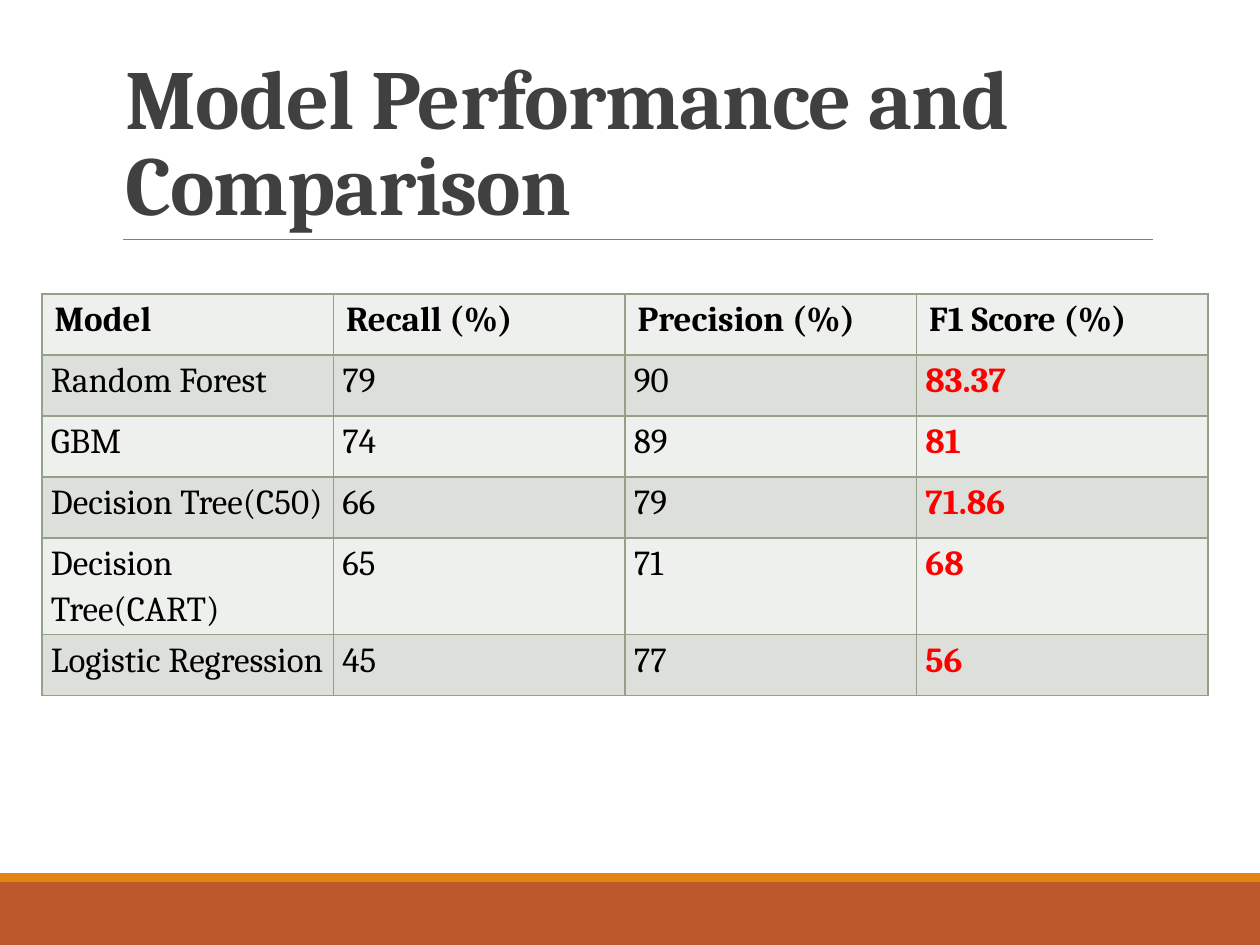
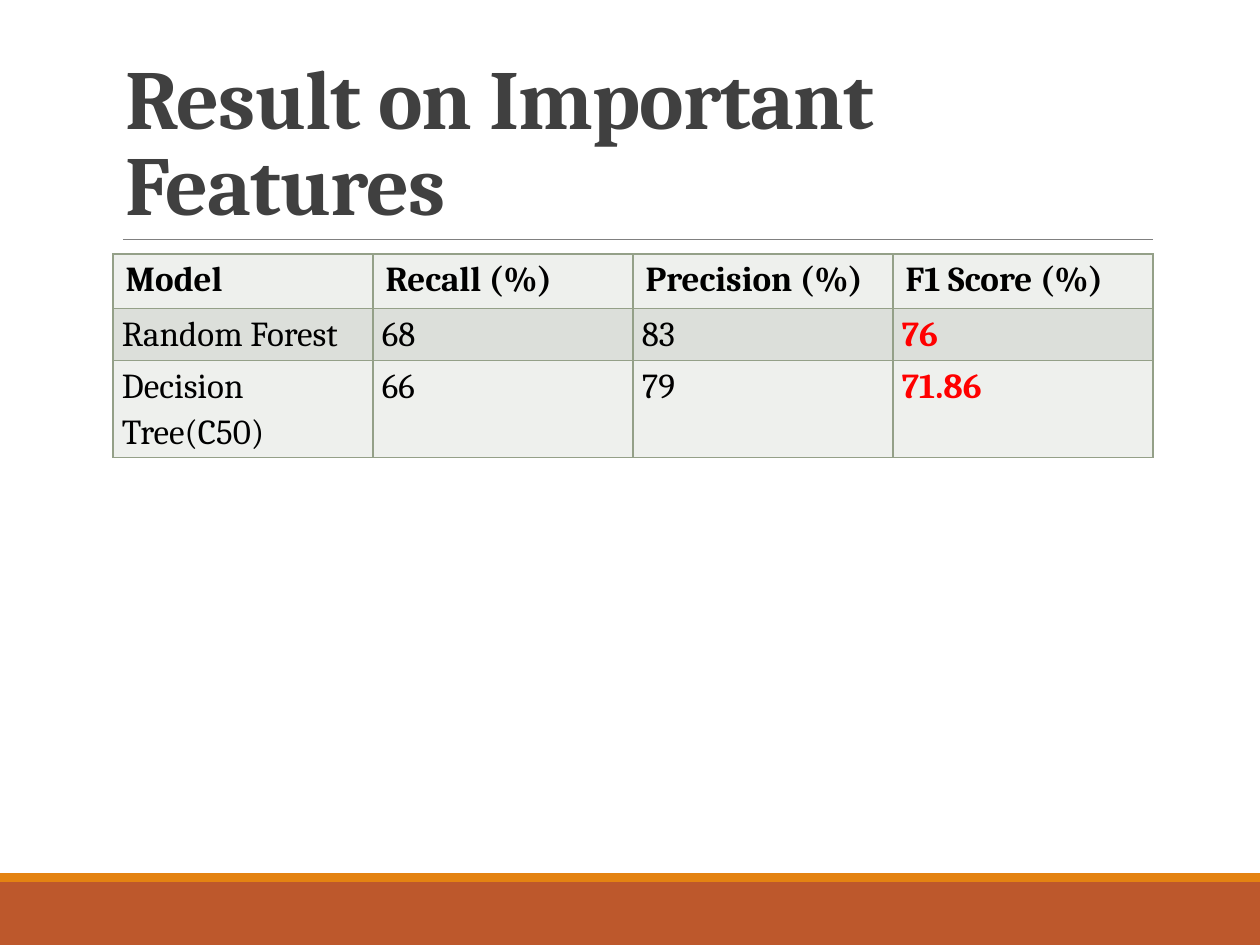
from lxml import etree
from pptx import Presentation
from pptx.dml.color import RGBColor
from pptx.enum.shapes import MSO_CONNECTOR, MSO_SHAPE
from pptx.enum.text import MSO_ANCHOR
from pptx.oxml.ns import qn
from pptx.util import Pt

RECT = MSO_SHAPE.RECTANGLE
STRAIGHT = MSO_CONNECTOR.STRAIGHT
BOTTOM = MSO_ANCHOR.BOTTOM

RUST = RGBColor(0xBD, 0x58, 0x2C)
ORANGE = RGBColor(0xE4, 0x83, 0x12)
GREY = RGBColor(0x80, 0x80, 0x80)
DARK = RGBColor(0x40, 0x40, 0x40)
BLACK = RGBColor(0, 0, 0)
RED = RGBColor(0xFF, 0, 0)
SAGE = RGBColor(0x94, 0xA0, 0x88)
LIGHT = RGBColor(0xEE, 0xF0, 0xED)
SHADE = RGBColor(0xDC, 0xDF, 0xDA)

FONT = "Cambria"
WIDE, HIGH = 1260, 945
LEFT, RIGHT = 113, 1153
HEAD = ["Model", "Recall (%)", "Precision (%)", "F1 Score (%)"]
TIGHT = {"margin_left": 9, "margin_right": 9, "margin_top": 0, "margin_bottom": 0}


def emu(px):
    return round(px * 914400 / 126)


class Deck:
    def __init__(self):
        self.prs = Presentation()
        self.prs.slide_width = emu(WIDE)
        self.prs.slide_height = emu(HIGH)
        self.slide = None

    def page(self, title):
        """Start a slide with the shared bands, rule and title."""
        self.slide = self.prs.slides.add_slide(self.prs.slide_layouts[6])
        self.band(882, 63, RUST)
        self.band(873, 9, ORANGE)
        self.rule(123, RIGHT, 239)
        self.title(title)

    def band(self, top, high, color):
        band = self.slide.shapes.add_shape(RECT, 0, emu(top), emu(WIDE), emu(high))
        band.shadow.inherit = False
        band.fill.solid()
        band.fill.fore_color.rgb = color
        band.line.fill.background()

    def rule(self, start, end, y):
        rule = self.slide.shapes.add_connector(
            STRAIGHT, emu(start), emu(y), emu(end), emu(y))
        rule.line.color.rgb = GREY
        rule.line.width = Pt(0.5)
        etree.SubElement(rule._element.spPr, qn("a:effectLst"))

    def label(self, frame, text, size, color, bold, space):
        """Fill a text frame with one styled run and return it."""
        para = frame.paragraphs[0]
        para.line_spacing = space
        run = para.add_run()
        run.text = text
        style = {"name": FONT, "size": Pt(size), "bold": bold}
        for name, value in style.items():
            setattr(run.font, name, value)
        run.font.color.rgb = color
        return run

    def title(self, text):
        box = self.slide.shapes.add_textbox(
            emu(LEFT), emu(39), emu(RIGHT - LEFT), emu(200))
        frame = box.text_frame
        frame.word_wrap = True
        frame.vertical_anchor = BOTTOM
        run = self.label(frame, text, 48, DARK, True, 0.85)
        run._r.get_or_add_rPr().set("spc", "-50")

    def edge(self, cell):
        """Draw the four borders of a cell; call before its fill is set."""
        props = cell._tc.get_or_add_tcPr()
        for side in "LRTB":
            line = etree.SubElement(props, qn(f"a:ln{side}"), w=str(Pt(1)))
            fill = etree.SubElement(line, qn("a:solidFill"))
            etree.SubElement(fill, qn("a:srgbClr"), val=str(SAGE))

    def table(self, left, top, wide, step, body):
        rows = [HEAD] + body
        table = self.slide.shapes.add_table(
            len(rows), len(HEAD), emu(left), emu(top),
            emu(wide), emu(step * len(rows))).table
        table.first_row = table.horz_banding = False
        for r, row in enumerate(rows):
            for c, text in enumerate(row):
                cell = table.cell(r, c)
                self.edge(cell)
                cell.fill.solid()
                cell.fill.fore_color.rgb = SHADE if r % 2 else LIGHT
                score = r > 0 and c == len(HEAD) - 1
                if r:
                    for name, px in TIGHT.items():
                        setattr(cell, name, emu(px))
                self.label(cell.text_frame, text, 20, RED if score else BLACK,
                           r == 0 or score, 1.15 if r else 1.0)


def main():
    deck = Deck()
    deck.page("Model Performance and Comparison")
    deck.table(42, 294, 1166, 61, [
        ["Random Forest", "79", "90", "83.37"],
        ["GBM", "74", "89", "81"],
        ["Decision Tree(C50)", "66", "79", "71.86"],
        ["Decision Tree(CART)", "65", "71", "68"],
        ["Logistic Regression", "45", "77", "56"],
    ])
    deck.page("Result on Important Features")
    deck.table(LEFT, 254, RIGHT - LEFT, 52, [
        ["Random Forest", "68", "83", "76"],
        ["Decision Tree(C50)", "66", "79", "71.86"],
    ])
    deck.prs.save("out.pptx")


if __name__ == "__main__":
    main()
